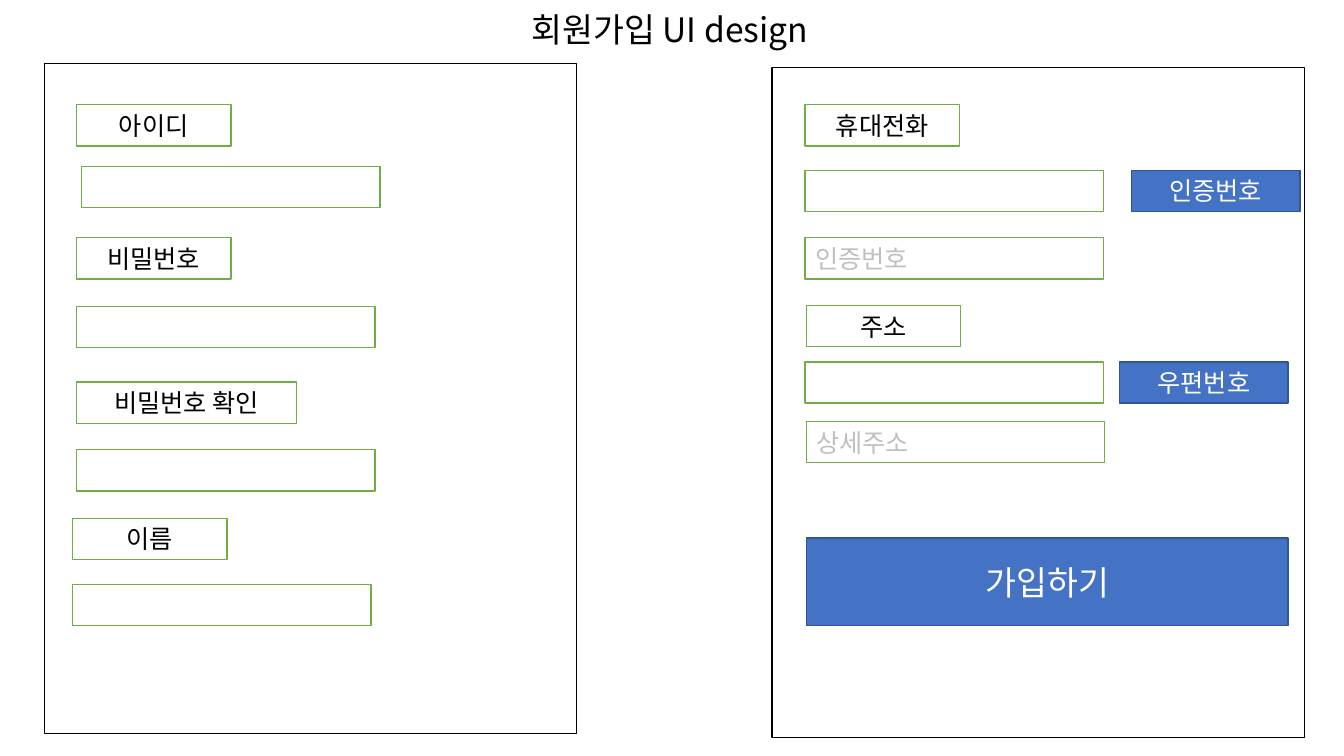
"""Build the sign-up form wireframe slide."""
from dataclasses import dataclass

from lxml import etree
from pptx import Presentation
from pptx.dml.color import RGBColor
from pptx.enum.shapes import MSO_SHAPE
from pptx.enum.text import MSO_ANCHOR, MSO_AUTO_SIZE, PP_ALIGN
from pptx.oxml.ns import qn
from pptx.util import Cm, Pt

RECT = MSO_SHAPE.RECTANGLE
TOP, MIDDLE = MSO_ANCHOR.TOP, MSO_ANCHOR.MIDDLE
LEFT, CENTER = PP_ALIGN.LEFT, PP_ALIGN.CENTER
NO_AUTOFIT = MSO_AUTO_SIZE.NONE


@dataclass(frozen=True)
class Theme:
    font: str = "Noto Sans CJK KR"
    black: str = "000000"
    white: str = "FFFFFF"
    green: str = "70AD47"
    blue: str = "4472C4"
    navy: str = "325491"
    hint: str = "BFBFBF"
    large: int = 24
    normal: int = 18
    line: int = 1
    row_height: float = 1.04
    label_width: float = 3.89
    field_width: float = 7.52
    button_width: float = 4.24


class FormSlide:
    def __init__(self, prs, theme):
        self.theme = theme
        self.s = prs.slides.add_slide(prs.slide_layouts[5])

    def set_text(self, tf, text, size, color, align, anchor):
        tf.word_wrap = True
        tf.vertical_anchor = anchor
        p = tf.paragraphs[0]
        p.text = text
        p.alignment = align
        p.font.size = Pt(size)
        p.font.color.rgb = RGBColor.from_string(color)
        p.font.name = self.theme.font
        latin = p._p.pPr.find(qn("a:defRPr")).find(qn("a:latin"))
        ea = etree.Element(qn("a:ea"), typeface=self.theme.font)
        latin.addnext(ea)
        return p

    def title(self, text, x, y, w, h):
        sp = self.s.shapes.title
        sp.left, sp.top, sp.width, sp.height = Cm(x), Cm(y), Cm(w), Cm(h)
        tf = sp.text_frame
        tf.auto_size = NO_AUTOFIT
        p = self.set_text(tf, text, self.theme.large, self.theme.black, CENTER, TOP)
        p.line_spacing = 0.9
        p.space_before = Pt(0)

    def box(self, x, y, w, h, fill, line):
        sp = self.s.shapes.add_shape(RECT, Cm(x), Cm(y), Cm(w), Cm(h))
        sp.shadow.inherit = False
        sp.fill.solid()
        sp.fill.fore_color.rgb = RGBColor.from_string(fill)
        sp.line.color.rgb = RGBColor.from_string(line)
        sp.line.width = Pt(self.theme.line)
        return sp

    def panel(self, x, y):
        self.box(x, y, 13.41, 16.89, self.theme.white, self.theme.black)

    def label(self, text, x, y, w=Theme.label_width):
        t = self.theme
        sp = self.box(x, y, w, t.row_height, t.white, t.green)
        self.set_text(sp.text_frame, text, t.normal, t.black, CENTER, MIDDLE)

    def field(self, x, y, hint=""):
        t = self.theme
        sp = self.box(x, y, t.field_width, t.row_height, t.white, t.green)
        if hint:
            self.set_text(sp.text_frame, hint, t.normal, t.hint, LEFT, MIDDLE)

    def button(self, text, x, y, w=Theme.button_width, h=Theme.row_height,
               size=Theme.normal):
        t = self.theme
        sp = self.box(x, y, w, h, t.blue, t.navy)
        self.set_text(sp.text_frame, text, size, t.white, CENTER, MIDDLE)


def main():
    prs = Presentation()
    prs.slide_width, prs.slide_height = Cm(33.87), Cm(19.05)
    theme = Theme()
    form = FormSlide(prs, theme)
    form.title("회원가입 UI design", 3.89, 0.2, 25.98, 2.08)

    form.panel(1.12, 1.6)
    account_rows = [
        ("아이디", 1.93, 2.64, theme.label_width, 2.06, 4.19),
        ("비밀번호", 1.93, 5.99, theme.label_width, 1.93, 7.72),
        ("비밀번호 확인", 1.93, 9.63, 5.54, 1.93, 11.33),
        ("이름", 1.83, 13.06, theme.label_width, 1.83, 14.73),
    ]
    for text, x, y, w, field_x, field_y in account_rows:
        form.label(text, x, y, w)
        form.field(field_x, field_y)

    form.panel(19.46, 1.7)
    contact_rows = [
        ("휴대전화", 20.29, 2.64, 4.29, "인증번호", 28.52, "인증번호", 20.29, 5.99),
        ("주소", 20.32, 7.7, 9.12, "우편번호", 28.22, "상세주소", 20.32, 10.62),
    ]
    for text, x, y, field_y, action, action_x, hint, hint_x, hint_y in contact_rows:
        form.label(text, x, y)
        form.field(20.29, field_y)
        form.button(action, action_x, field_y)
        form.field(hint_x, hint_y, hint)
    form.button("가입하기", 20.32, 13.56, 12.14, 2.21, theme.large)

    prs.save("out.pptx")


if __name__ == "__main__":
    main()
